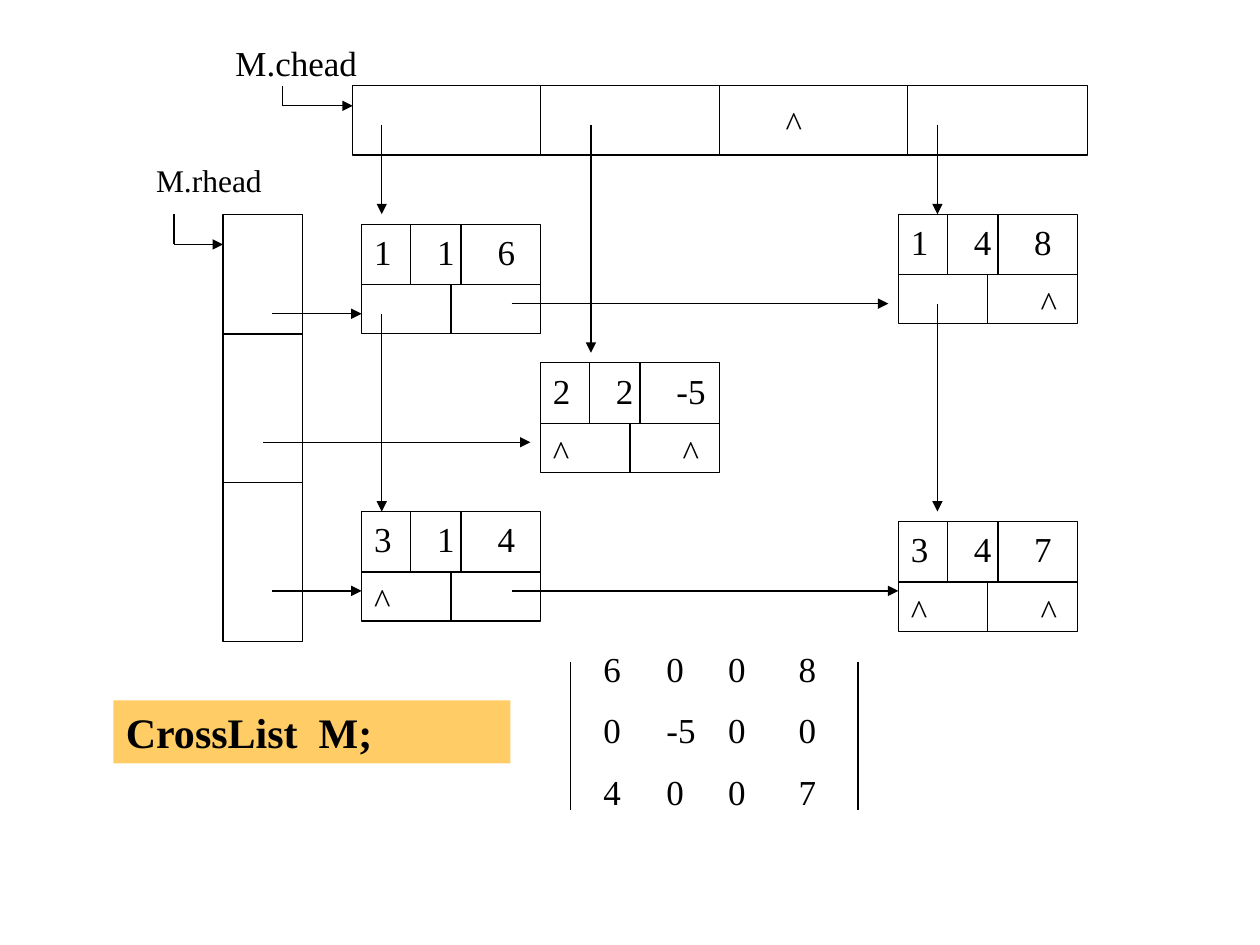
"""Draw a cross-linked list for a sparse matrix beside the matrix itself."""
from lxml import etree
from pptx import Presentation
from pptx.dml.color import RGBColor
from pptx.enum.shapes import MSO_CONNECTOR, MSO_SHAPE
from pptx.enum.text import MSO_ANCHOR, PP_ALIGN
from pptx.oxml.ns import qn
from pptx.util import Inches, Pt

RECT = MSO_SHAPE.RECTANGLE
LINE = MSO_CONNECTOR.STRAIGHT
LEFT, MID, TOP = PP_ALIGN.LEFT, PP_ALIGN.CENTER, MSO_ANCHOR.TOP

THEME = {
    "font": "Times New Roman", "ink": RGBColor(0, 0, 0),
    "gold": RGBColor(0xFF, 0xCC, 0x66), "rule": 0.75,
    "body": 20, "small": 18, "large": 24, "gap": 11,
}

NODES = [
    (2.87, 1.78, ["1\t1\t6"]),
    (4.29, 2.88, ["2\t2\t-5", "^\t^"]),
    (2.87, 4.06, ["3\t1\t4", "^"]),
    (7.13, 1.7, ["1\t4\t8", "\t^"]),
    (7.13, 4.14, ["3\t4\t7", "^\t^"]),
]
NODE_W, NODE_H, NODE_MID = 1.42, 0.87, 0.48
NODE_TABS = [(0.5, 0.98), (1.03,)]

MATRIX = ["6\t0\t0\t8", "0\t-5\t0\t0", "4\t0\t0\t7"]
MATRIX_TABS = [(0.5, 0.99, 1.55)] * len(MATRIX)
BARS = [4.53, 6.81]

COL_HEAD = (2.8, 0.68, 5.83, 0.55)
COL_CUTS = [4.29, 5.71, 7.2]
ROW_HEAD = (1.77, 1.7, 0.63, 3.39)
ROW_CUTS = [2.65, 3.83]

STEMS = [(2.24, 0.68, 2.24, 0.84), (1.38, 1.7, 1.38, 1.94)]
ARROWS = [
    (2.24, 0.84, 2.8, 0.84), (1.38, 1.94, 1.77, 1.94),
    (3.03, 0.99, 3.03, 1.7), (3.03, 2.49, 3.03, 4.06),
    (4.69, 0.99, 4.69, 2.8),
    (7.44, 0.99, 7.44, 1.7), (7.44, 2.41, 7.44, 4.06),
    (2.16, 2.49, 2.87, 2.49), (4.06, 2.41, 7.05, 2.41),
    (2.09, 3.51, 4.21, 3.51),
    (2.16, 4.69, 2.87, 4.69), (4.06, 4.69, 7.13, 4.69),
]
LABELS = [
    ("M.chead", (1.77, 0.28, 1.2, 0.43), "body", LEFT),
    ("M.rhead", (1.14, 1.23, 1.26, 0.4), "small", LEFT),
    ("^", (5.79, 0.76, 1.02, 0.43), "body", MID),
]
TITLE = ("CrossList  M;", (0.9, 5.56, 3.15, 0.5))


def draw_line(slide, ends, arrow=False):
    """Add a thin line, with an arrowhead at its end if asked."""
    line = slide.shapes.add_connector(LINE, *map(Inches, ends))
    line.line.color.rgb = THEME["ink"]
    line.line.width = Pt(THEME["rule"])
    props = line._element.spPr
    if arrow:
        etree.SubElement(props.find(qn("a:ln")), qn("a:tailEnd"), type="triangle")
    etree.SubElement(props, qn("a:effectLst"))


def draw_rect(slide, area, fill=None):
    """Add an outlined box, or a filled one without outline."""
    box = slide.shapes.add_shape(RECT, *map(Inches, area))
    box.shadow.inherit = False
    if fill:
        box.fill.solid()
        box.fill.fore_color.rgb = fill
        box.line.fill.background()
    else:
        box.fill.background()
        box.line.color.rgb = THEME["ink"]
        box.line.width = Pt(THEME["rule"])
    return box


def set_tabs(para, stops):
    """Give a paragraph left tab stops in inches."""
    tabs = etree.SubElement(para._p.get_or_add_pPr(), qn("a:tabLst"))
    for stop in stops:
        etree.SubElement(tabs, qn("a:tab"), pos=str(Inches(stop)), algn="l")


def write(shape, rows, size="body", align=LEFT, tabs=(), bold=False):
    """Fill a shape with one paragraph for each row."""
    frame = shape.text_frame
    frame.word_wrap = True
    frame.vertical_anchor = TOP
    frame.text = "\n".join(rows)
    for i, para in enumerate(frame.paragraphs):
        if tabs:
            set_tabs(para, tabs[i])
        if i:
            para.space_before = Pt(THEME["gap"])
        para.alignment = align
        font = para.font
        font.name, font.size, font.bold = THEME["font"], Pt(THEME[size]), bold
        font.color.rgb = THEME["ink"]


def add_text(slide, area, rows, **style):
    """Add a text box."""
    write(slide.shapes.add_textbox(*map(Inches, area)), rows, **style)


def draw_node(slide, x, y, rows):
    """Add a list node: three fields above two links."""
    mid = y + NODE_MID
    draw_rect(slide, (x, y, NODE_W, NODE_H))
    draw_line(slide, (x, mid, x + NODE_W, mid))
    for cut in (0.39, 0.79):
        draw_line(slide, (x + cut, y, x + cut, mid))
    half = x + NODE_W / 2
    draw_line(slide, (half, mid, half, y + NODE_H))
    high = 0.43 + 0.5 * (len(rows) - 1)
    add_text(slide, (x, y, NODE_W, high), rows, tabs=NODE_TABS)


def draw_heads(slide):
    """Add the column and row head arrays."""
    x, y, wide, high = COL_HEAD
    draw_rect(slide, COL_HEAD)
    for cut in COL_CUTS:
        draw_line(slide, (cut, y, cut, y + high))
    x, y, wide, high = ROW_HEAD
    draw_rect(slide, ROW_HEAD)
    for cut in ROW_CUTS:
        draw_line(slide, (x, cut, x + wide, cut))


def main():
    deck = Presentation()
    deck.slide_width, deck.slide_height = Inches(10), Inches(7.5)
    slide = deck.slides.add_slide(deck.slide_layouts[6])
    draw_heads(slide)
    for node in NODES:
        draw_node(slide, *node)
    for ends in STEMS:
        draw_line(slide, ends)
    for ends in ARROWS:
        draw_line(slide, ends, arrow=True)
    for text, area, size, align in LABELS:
        add_text(slide, area, [text], size=size, align=align)
    add_text(slide, (4.69, 5.09, 2.05, 1.43), MATRIX, tabs=MATRIX_TABS)
    for x in BARS:
        draw_line(slide, (x, 5.25, x, 6.43))
    text, area = TITLE
    write(draw_rect(slide, area, THEME["gold"]), [text], size="large", bold=True)
    deck.save("out.pptx")


if __name__ == "__main__":
    main()
